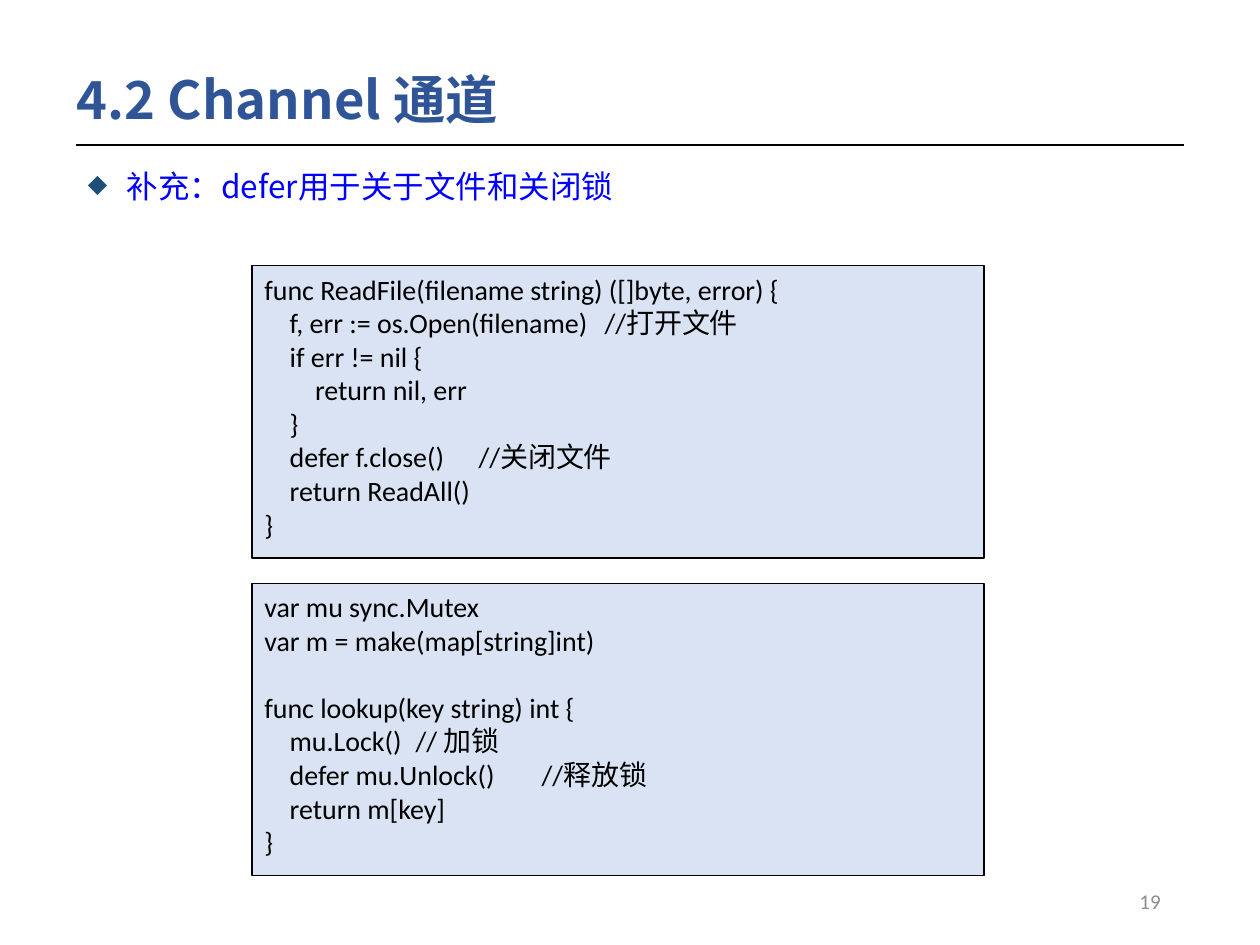
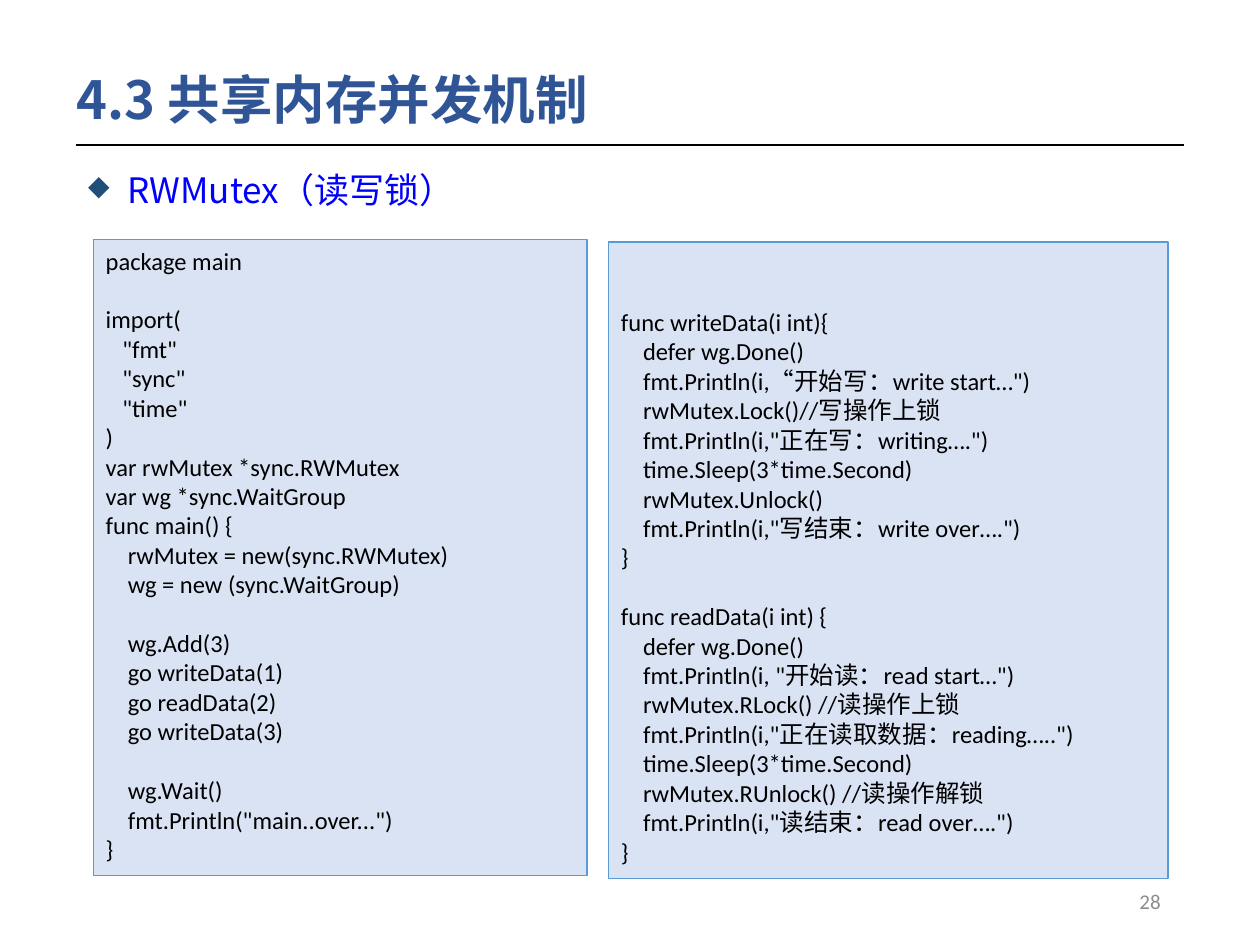
from lxml import etree
from pptx import Presentation
from pptx.dml.color import RGBColor
from pptx.enum import shapes, text
from pptx.oxml import ns
from pptx.util import Inches, Pt

TITLE_BLUE = RGBColor(0x2F, 0x55, 0x97)
POINT_BLUE = RGBColor(0x00, 0x00, 0xFF)
CODE_FILL = RGBColor(0xDA, 0xE3, 0xF3)
CODE_EDGE = RGBColor(0x5B, 0x9B, 0xD5)
BLACK = RGBColor(0x00, 0x00, 0x00)
GREY = RGBColor(0x8C, 0x8C, 0x8C)
CJK = "Noto Sans CJK SC"
LATIN = "Calibri"
SPACE_EM = 0.226  # width of a space in Calibri
LINE_EM = 1.2     # height of a line of code

READ_FILE = """\
func ReadFile(filename string) ([]byte, error) {
    f, err := os.Open(filename)\t//打开文件
    if err != nil {
        return nil, err
    }
    defer f.close()\t//关闭文件
    return ReadAll()
}"""

LOOKUP = """\
var mu sync.Mutex
var m = make(map[string]int)

func lookup(key string) int {
    mu.Lock()\t// 加锁
    defer mu.Unlock()\t//释放锁
    return m[key]
}"""

MAIN = """\
package main

import(
   "fmt"
   "sync"
   "time"
)
var rwMutex *sync.RWMutex
var wg *sync.WaitGroup
func main() {
    rwMutex = new(sync.RWMutex)
    wg = new (sync.WaitGroup)

    wg.Add(3)
    go writeData(1)
    go readData(2)
    go writeData(3)

    wg.Wait()
    fmt.Println("main..over...")
}"""

WRITE_READ = """\


func writeData(i int){
    defer wg.Done()
    fmt.Println(i,“开始写：write start…")
    rwMutex.Lock()//写操作上锁
    fmt.Println(i,"正在写：writing….")
    time.Sleep(3*time.Second)
    rwMutex.Unlock()
    fmt.Println(i,"写结束：write over….")
}

func readData(i int) {
    defer wg.Done()
    fmt.Println(i, "开始读：read start…")
    rwMutex.RLock() //读操作上锁
    fmt.Println(i,"正在读取数据：reading…..")
    time.Sleep(3*time.Second)
    rwMutex.RUnlock() //读操作解锁
    fmt.Println(i,"读结束：read over….")
}"""

# Title, number, bullet, bullet size, bullet box width, code size, code edge,
# then code boxes: left, top, width, height, code, comment columns in order
SLIDES = [
    ("4.2 Channel 通道", "19", "补充：defer用于关于文件和关闭锁", 18, 8.8, 16, BLACK,
     [(2, 2.11, 5.81, 2.32, READ_FILE, [2.76, 1.68]),
      (2, 4.63, 5.81, 2.32, LOOKUP, [1.39, 1.98])]),
    ("4.3 共享内存并发机制", "28", "RWMutex（读写锁）", 20, 8.98, 14, CODE_EDGE,
     [(0.74, 1.9, 3.92, 5.05, MAIN, []),
      (4.83, 1.92, 4.44, 5.05, WRITE_READ, [])]),
]


def format_runs(p, size, color, font, bold=False):
    for r in p.runs:
        r.font.size, r.font.name, r.font.bold = Pt(size), font, bold
        r.font.color.rgb = color
        latin = r._r.rPr.find(ns.qn("a:latin"))
        ea = etree.Element(ns.qn("a:ea"), typeface=CJK)
        latin.addnext(ea)


def write_code(tf, code, size, columns):
    """Turn leading spaces into indents and empty lines into spacing."""
    columns = iter(columns)
    p, gap = None, 0
    for line in code.split("\n"):
        if not line:
            gap += size * LINE_EM
            continue
        if p is None:
            p = tf.paragraphs[0]
            tf.margin_top = Inches(0.05) + Pt(gap)
        else:
            p = tf.add_paragraph()
            p.space_before = Pt(gap)
        gap = 0
        p.text = line.lstrip()
        p.alignment = text.PP_ALIGN.LEFT
        indent = Pt((len(line) - len(p.text)) * SPACE_EM * size)
        pPr = p._p.get_or_add_pPr()
        pPr.set("marL", str(indent))
        pPr.set("indent", "0")
        if "\t" in line:
            tabs = etree.SubElement(pPr, ns.qn("a:tabLst"))
            etree.SubElement(tabs, ns.qn("a:tab"), pos=str(Inches(next(columns))), algn="l")
        format_runs(p, size, BLACK, LATIN)


prs = Presentation()
prs.slide_width, prs.slide_height = Inches(10), Inches(7.5)

for title, number, point, point_size, point_width, code_size, edge, boxes in SLIDES:
    s = prs.slides.add_slide(prs.slide_layouts[5])

    sp = s.shapes.title
    sp.left, sp.top, sp.width, sp.height = Inches(0.51), Inches(0.48), Inches(8.62), Inches(0.67)
    tf = sp.text_frame
    tf.text = title
    tf.auto_size = text.MSO_AUTO_SIZE.NONE
    tf.vertical_anchor = text.MSO_ANCHOR.MIDDLE
    p = tf.paragraphs[0]
    p.alignment = text.PP_ALIGN.LEFT
    p.line_spacing = 0.9
    format_runs(p, 30, TITLE_BLUE, CJK, bold=True)

    tf = s.shapes.add_textbox(Inches(7.06), Inches(6.95), Inches(2.25), Inches(0.4)).text_frame
    tf.text = number
    tf.word_wrap = True
    tf.vertical_anchor = text.MSO_ANCHOR.MIDDLE
    p = tf.paragraphs[0]
    p.alignment = text.PP_ALIGN.RIGHT
    format_runs(p, 12, GREY, LATIN)

    rule = s.shapes.add_connector(shapes.MSO_CONNECTOR.STRAIGHT,
                                  Inches(0.6), Inches(1.15), Inches(9.4), Inches(1.15))
    rule.line.color.rgb = BLACK
    rule.line.width = Pt(1.5)
    etree.SubElement(rule._element.spPr, ns.qn("a:effectLst"))

    tf = s.shapes.add_textbox(Inches(0.6), Inches(1.22), Inches(point_width), Inches(5.74)).text_frame
    tf.text = point
    tf.word_wrap = True
    p = tf.paragraphs[0]
    p.line_spacing = 1.2
    p.space_before = Pt(10)
    format_runs(p, point_size, POINT_BLUE, CJK)
    pPr = p._p.get_or_add_pPr()
    pPr.set("marL", str(Inches(0.31)))
    pPr.set("indent", str(Inches(-0.31)))
    color = etree.SubElement(pPr, ns.qn("a:buClr"))
    etree.SubElement(color, ns.qn("a:srgbClr"), val="1F4E79")
    etree.SubElement(pPr, ns.qn("a:buSzPct"), val="80000")
    etree.SubElement(pPr, ns.qn("a:buChar"), char="◆")

    for left, top, width, height, code, columns in boxes:
        sp = s.shapes.add_shape(shapes.MSO_SHAPE.RECTANGLE,
                                Inches(left), Inches(top), Inches(width), Inches(height))
        sp.shadow.inherit = False
        sp.fill.solid()
        sp.fill.fore_color.rgb = CODE_FILL
        sp.line.color.rgb = edge
        sp.line.width = Pt(0.75)
        tf = sp.text_frame
        tf.word_wrap = True
        tf.vertical_anchor = text.MSO_ANCHOR.TOP
        write_code(tf, code, code_size, columns)

prs.save("out.pptx")
